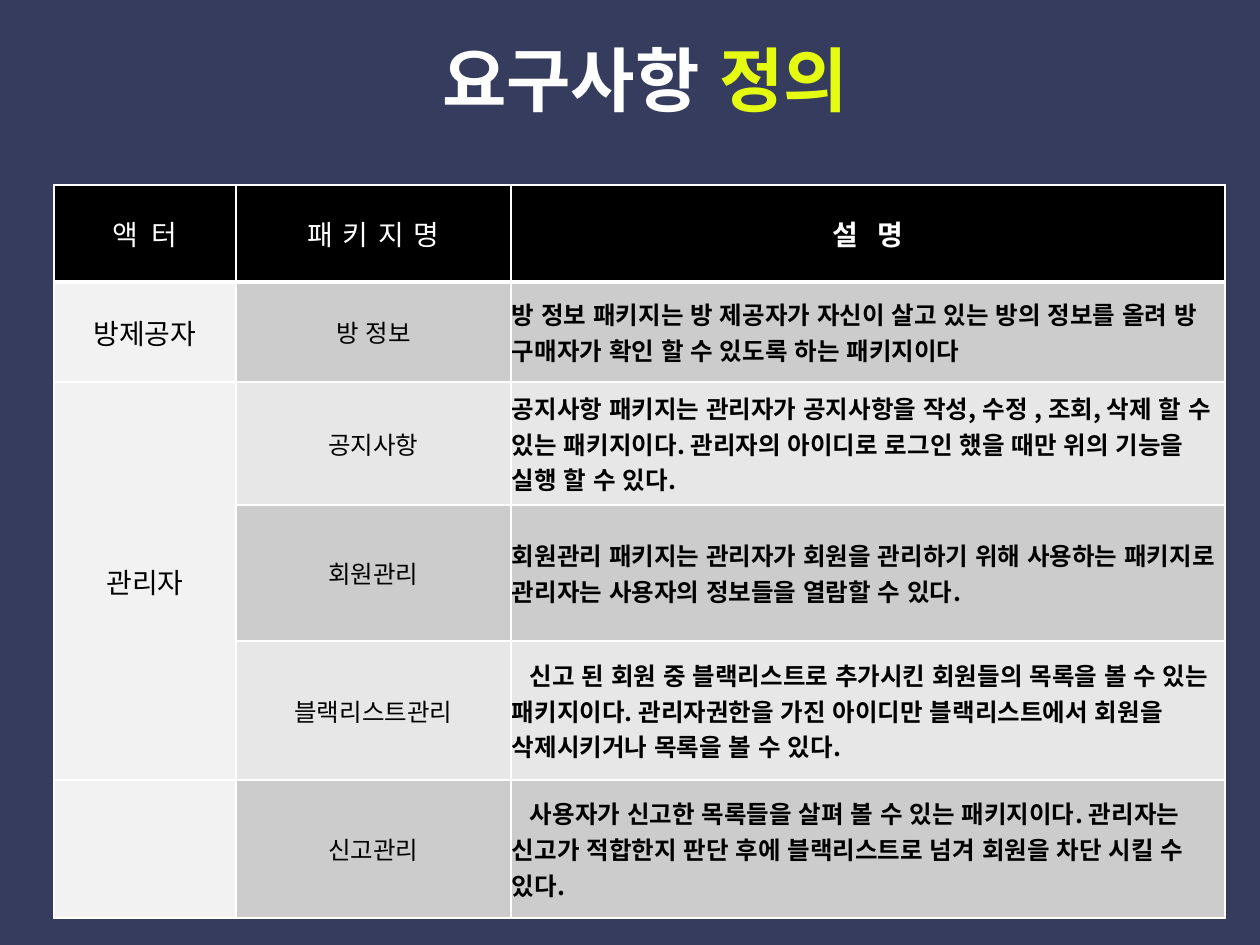
from lxml import etree
from pptx import Presentation
from pptx import util as u
from pptx.dml.color import RGBColor
from pptx.enum import lang, text
from pptx.oxml.ns import qn

PX = 914400 // 126
KOREAN_FONT = "Noto Sans CJK KR"
COLUMNS = [182, 275, 714]
ROWS = [97, 100, 123, 136, 139, 138]
ACTOR_FILL, DARK_BAND, LIGHT_BAND = "F2F2F2", "CCCCCC", "E7E7E7"

# Heading, extra letter spacing in points, bold
HEADINGS = [("액 터", 1.8, False), ("패 키 지 명", 0.6, False), ("설 명", 3.5, True)]

# Actor, package, description, first-line indent in px
REQUIREMENTS = [
    ("방제공자", "방 정보",
     "방 정보 패키지는 방 제공자가 자신이 살고 있는 방의 정보를 올려 방 "
     "구매자가 확인 할 수 있도록 하는 패키지이다", 0),
    ("관리자", "공지사항",
     "공지사항 패키지는 관리자가 공지사항을 작성, 수정 , 조회, 삭제 할 수 있는 "
     "패키지이다. 관리자의 아이디로 로그인 했을 때만 위의 기능을 실행 할 수 있다.", 0),
    ("", "회원관리",
     "회원관리 패키지는 관리자가 회원을 관리하기 위해 사용하는 패키지로 "
     "관리자는 사용자의 정보들을 열람할 수 있다.", 0),
    ("", "블랙리스트관리",
     "신고 된 회원 중 블랙리스트로 추가시킨 회원들의 목록을 볼 수 있는 "
     "패키지이다. 관리자권한을 가진 아이디만 블랙리스트에서 회원을 "
     "삭제시키거나 목록을 볼 수 있다.", 18),
    ("", "신고관리",
     "사용자가 신고한 목록들을 살펴 볼 수 있는 패키지이다. 관리자는 신고가 "
     "적합한지 판단 후에 블랙리스트로 넘겨 회원을 차단 시킬 수 있다.", 18),
]


def px(length):
    return u.Emu(length * PX)


def color(value):
    return RGBColor.from_string(value)


def add_text(paragraph, content, size=14, font=KOREAN_FONT, fill="000000",
             bold=False, align=text.PP_ALIGN.CENTER, spacing=0, indent=0):
    paragraph.alignment = align
    if indent:
        paragraph._p.get_or_add_pPr().set("indent", str(px(indent)))
    run = paragraph.add_run()
    run.text = content
    run.font.size = u.Pt(size)
    run.font.bold = bold
    run.font.color.rgb = color(fill)
    run.font.name = font
    run.font.language_id = lang.MSO_LANGUAGE_ID.KOREAN
    properties = run._r.get_or_add_rPr()
    properties.find(qn("a:latin")).addnext(
        etree.Element(qn("a:ea"), typeface=KOREAN_FONT))
    if spacing:
        properties.set("spc", str(round(spacing * 100)))


def style_cell(cell, fill, bottom_width=1):
    # Borders come before the fill in the cell properties
    properties = cell._tc.get_or_add_tcPr()
    for side, width in (("L", 1), ("R", 1), ("T", 1), ("B", bottom_width)):
        line = etree.SubElement(properties, qn("a:ln" + side), w=str(u.Pt(width)))
        solid = etree.SubElement(line, qn("a:solidFill"))
        etree.SubElement(solid, qn("a:srgbClr"), val="FFFFFF")
    cell.fill.solid()
    cell.fill.fore_color.rgb = color(fill)
    cell.vertical_anchor = text.MSO_ANCHOR.MIDDLE


def add_title(slide):
    box = slide.shapes.add_textbox(px(330), px(30), px(630), px(97))
    box.text_frame.word_wrap = True
    title = box.text_frame.paragraphs[0]
    for words, fill in (("요구사항 ", "FFFFFF"), ("정의", "E5FB11")):
        add_text(title, words, size=40, font="Arial", fill=fill, bold=True)


def add_requirements(slide):
    table = slide.shapes.add_table(len(ROWS), len(COLUMNS), px(54), px(185),
                                   px(sum(COLUMNS)), px(sum(ROWS))).table
    for column, width in zip(table.columns, COLUMNS):
        column.width = px(width)
    for row, height in zip(table.rows, ROWS):
        row.height = px(height)

    # Header row
    for index, (heading, spacing, bold) in enumerate(HEADINGS):
        cell = table.cell(0, index)
        style_cell(cell, "000000", bottom_width=3)
        add_text(cell.text_frame.paragraphs[0], heading, size=16, font="Lato",
                 fill="FFFFFF", bold=bold, spacing=spacing)

    # One package per row, in alternating bands
    for index, (actor, package, description, indent) in enumerate(REQUIREMENTS, 1):
        band = DARK_BAND if index % 2 else LIGHT_BAND
        cells = [table.cell(index, column) for column in range(len(COLUMNS))]
        for cell, fill in zip(cells, (ACTOR_FILL, band, band)):
            style_cell(cell, fill)
        actor_line, package_line, description_line = (
            cell.text_frame.paragraphs[0] for cell in cells)
        if actor:
            add_text(actor_line, actor, size=16)
        add_text(package_line, package)
        add_text(description_line, description, bold=True,
                 align=text.PP_ALIGN.LEFT, indent=indent)
        cells[2].margin_left = cells[2].margin_right = px(1)
        cells[2].margin_top = cells[2].margin_bottom = 0

    # The administrator covers three packages
    table.cell(2, 0).merge(table.cell(4, 0))


def main():
    deck = Presentation()
    deck.slide_width, deck.slide_height = px(1260), px(945)
    slide = deck.slides.add_slide(deck.slide_layouts[6])
    slide.background.fill.solid()
    slide.background.fill.fore_color.rgb = color("353C5D")
    add_title(slide)
    add_requirements(slide)
    deck.save("out.pptx")


if __name__ == "__main__":
    main()
